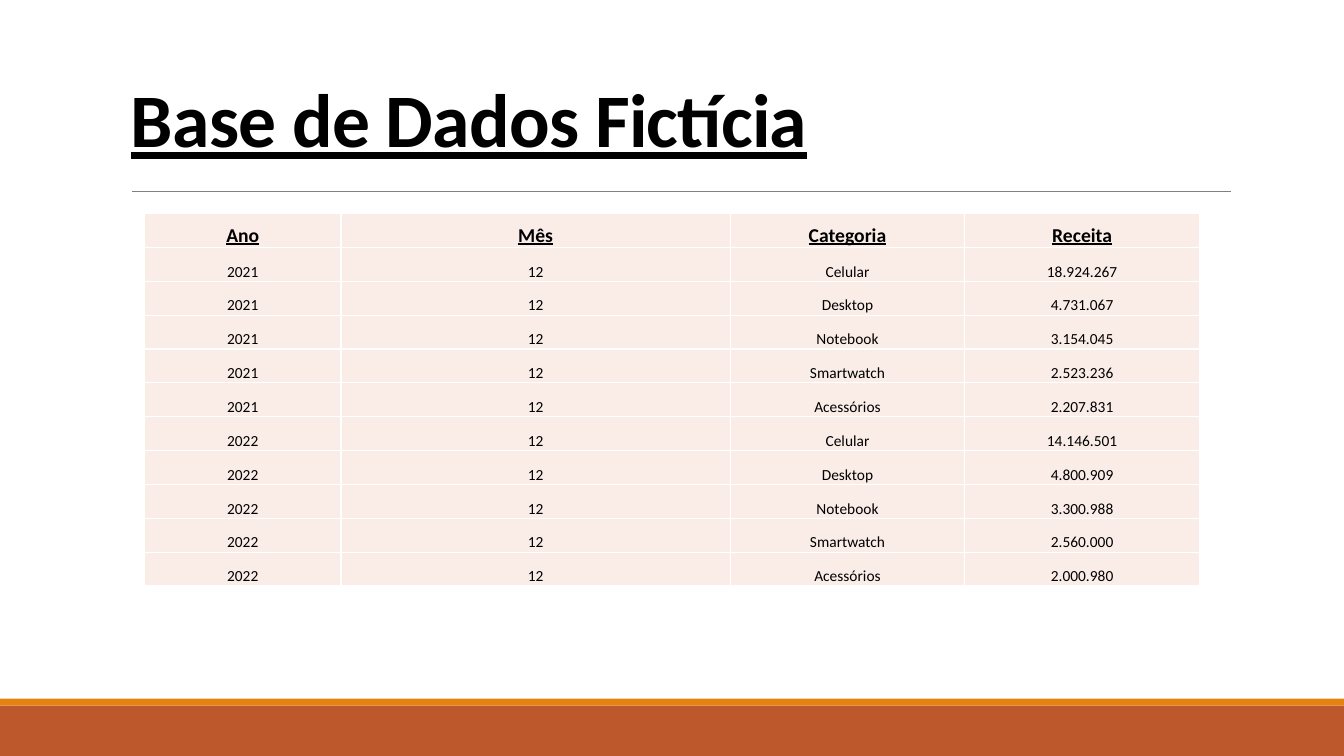
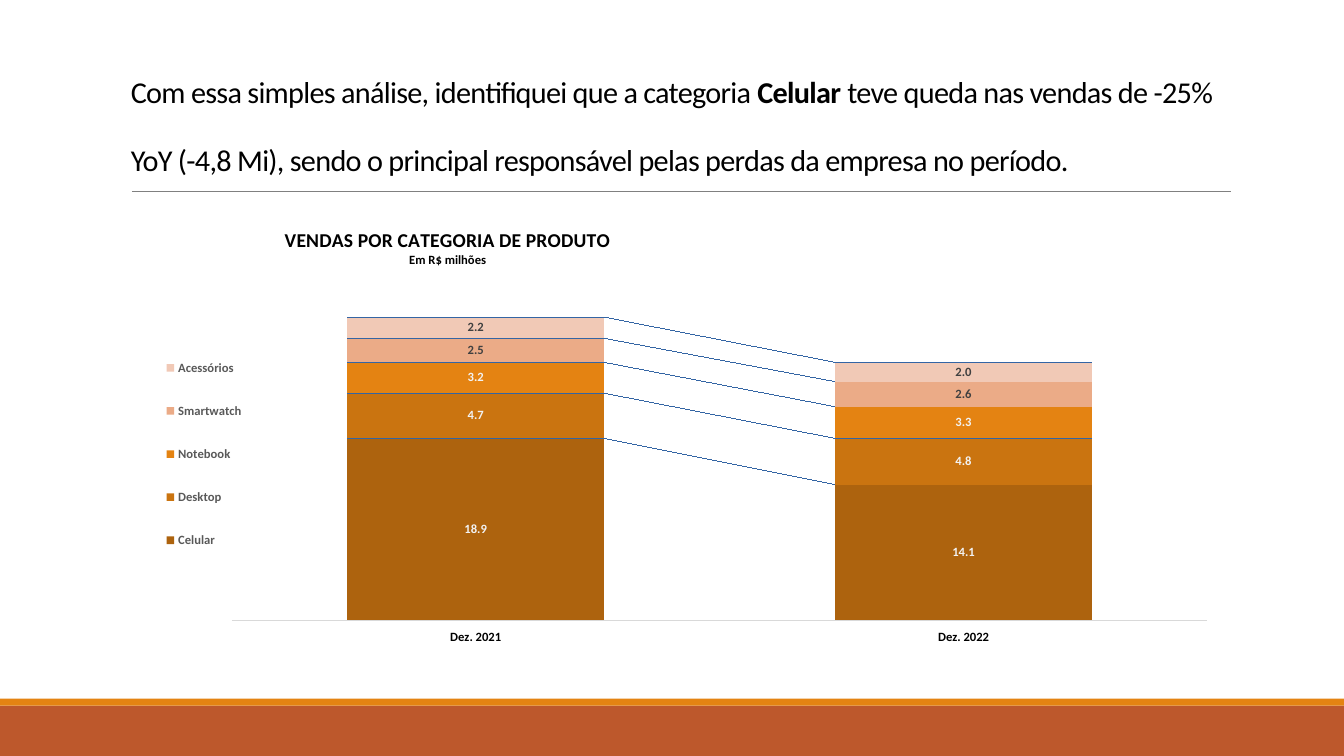
from dataclasses import dataclass
from typing import Optional

from lxml.etree import SubElement
from pptx import Presentation
from pptx.chart.data import CategoryChartData
from pptx.dml.color import RGBColor
from pptx.enum.chart import XL_CHART_TYPE as ChartType
from pptx.enum.chart import XL_LABEL_POSITION as LabelPosition
from pptx.enum.chart import XL_LEGEND_POSITION as LegendPosition
from pptx.enum.chart import XL_TICK_LABEL_POSITION as TickLabels
from pptx.enum.chart import XL_TICK_MARK as TickMark
from pptx.enum.shapes import MSO_CONNECTOR as Connector
from pptx.enum.shapes import MSO_SHAPE as Shape
from pptx.enum.text import MSO_ANCHOR as Anchor
from pptx.enum.text import PP_ALIGN as Align
from pptx.oxml import parse_xml
from pptx.oxml.ns import qn
from pptx.util import Pt

FONT = "Calibri"
COLORS = {
    "black": "000000",
    "white": "FFFFFF",
    "rust": "BD582C",
    "orange": "E48312",
    "rule": "808080",
    "cell": "FAEDE7",
    "axis": "D9D9D9",
    "legend": "595959",
    "light_label": "F2F2F2",
    "dark_label": "404040",
    "brown": "AD630E",
    "amber": "CA7410",
    "salmon": "EBAB87",
    "peach": "F1C9B6",
}
CHART_NAMESPACE = 'xmlns:c="http://schemas.openxmlformats.org/drawingml/2006/chart"'
NUMBER_FORMAT = "#,##0.0"
PAGE_WIDTH, PAGE_HEIGHT = 960, 540
CONTENT_LEFT, CONTENT_WIDTH = 86.4, 792


@dataclass(frozen=True)
class Band:
    top: float
    height: float
    color: str


@dataclass(frozen=True)
class Span:
    text: str
    bold: bool = False
    underline: bool = False


@dataclass(frozen=True)
class Title:
    spans: tuple[Span, ...]
    size: float
    bottom: float
    spacing: float


@dataclass(frozen=True)
class Series:
    name: str
    values: tuple[float, float]
    color: str
    label_color: str


BANDS = (Band(504, 36, "rust"), Band(499, 5, "orange"))

DATA_TITLE = Title((Span("Base de Dados Fictícia", True, True),), 54, 120.2, 0.85)
FINDING_TITLE = Title(
    (
        Span("Com essa simples análise, identifiquei que a categoria "),
        Span("Celular", True),
        Span(
            " teve queda nas vendas de -25% YoY (-4,8 Mi), sendo o principal "
            "responsável pelas perdas da empresa no período."
        ),
    ),
    21.6,
    130.7,
    Pt(48.6),
)

HEADERS = ("Ano", "Mês", "Categoria", "Receita")
COLUMN_WIDTHS = (140.4, 278, 167.6, 167.6)
ROW_HEIGHT = 24.2
REVENUES = {
    "2021": ("18.924.267", "4.731.067", "3.154.045", "2.523.236", "2.207.831"),
    "2022": ("14.146.501", "4.800.909", "3.300.988", "2.560.000", "2.000.980"),
}
SERIES = (
    Series("Celular", (18.9, 14.1), "brown", "light_label"),
    Series("Desktop", (4.7, 4.8), "amber", "light_label"),
    Series("Notebook", (3.2, 3.3), "orange", "light_label"),
    Series("Smartwatch", (2.5, 2.6), "salmon", "dark_label"),
    Series("Acessórios", (2.2, 2.0), "peach", "dark_label"),
)


def color(name: str) -> RGBColor:
    return RGBColor.from_string(COLORS[name])


def style_font(font, size: float, name: str, bold: Optional[bool] = None) -> None:
    font.name = FONT
    font.size = Pt(size)
    font.color.rgb = color(name)
    font.bold = bold


def add_band(page, band: Band) -> None:
    box = page.shapes.add_shape(
        Shape.RECTANGLE, 0, Pt(band.top), Pt(PAGE_WIDTH), Pt(band.height)
    )
    box.shadow.inherit = False
    box.fill.solid()
    box.fill.fore_color.rgb = color(band.color)
    box.line.fill.background()


def add_title(page, title: Title) -> None:
    top = 22.3
    box = page.shapes.add_textbox(
        Pt(CONTENT_LEFT), Pt(top), Pt(CONTENT_WIDTH), Pt(title.bottom - top)
    )
    frame = box.text_frame
    frame.word_wrap = True
    frame.vertical_anchor = Anchor.BOTTOM
    para = frame.paragraphs[0]
    para.line_spacing = title.spacing
    style_font(para.font, title.size, "black")
    for span in title.spans:
        run = para.add_run()
        run.text = span.text
        run.font.bold = span.bold
        run.font.underline = span.underline
        run.font._element.set("spc", "-50")


def add_page(deck, title: Title):
    page = deck.slides.add_slide(deck.slide_layouts[6])
    for band in BANDS:
        add_band(page, band)
    rule = page.shapes.add_connector(
        Connector.STRAIGHT, Pt(94.3), Pt(136.8), Pt(879), Pt(136.8)
    )
    rule.line.color.rgb = color("rule")
    rule.line.width = Pt(0.5)
    SubElement(rule._element.spPr, qn("a:effectLst"))
    add_title(page, title)
    return page


def fill_cell(cell, text: str, header: bool) -> None:
    cell.margin_left = cell.margin_right = cell.margin_top = Pt(0.7)
    cell.margin_bottom = 0
    cell.vertical_anchor = Anchor.BOTTOM
    para = cell.text_frame.paragraphs[0]
    para.text = text
    para.alignment = Align.CENTER
    style_font(para.font, 14 if header else 11, "black", header)
    para.font.underline = header
    properties = cell._tc.get_or_add_tcPr()
    for side in ("lnL", "lnR", "lnT", "lnB"):
        border = SubElement(properties, qn(f"a:{side}"), w=str(Pt(1)))
        fill = SubElement(border, qn("a:solidFill"))
        SubElement(fill, qn("a:srgbClr"), val=COLORS["white"])
    cell.fill.solid()
    cell.fill.fore_color.rgb = color("cell")


def add_revenue_table(page) -> None:
    rows = [HEADERS] + [
        (year, "12", series.name, revenue)
        for year, revenues in REVENUES.items()
        for series, revenue in zip(SERIES, revenues)
    ]
    table = page.shapes.add_table(
        len(rows), len(HEADERS), Pt(103.2), Pt(152.6),
        Pt(sum(COLUMN_WIDTHS)), Pt(ROW_HEIGHT * len(rows)),
    ).table
    table.first_row = table.horz_banding = False
    for column, width in zip(table.columns, COLUMN_WIDTHS):
        column.width = Pt(width)
    for row_index, values in enumerate(rows):
        table.rows[row_index].height = Pt(ROW_HEIGHT)
        for column_index, text in enumerate(values):
            fill_cell(table.cell(row_index, column_index), text, row_index == 0)


def place(element, after: Optional[str], **fractions: float) -> None:
    for old in element.findall(qn("c:layout")):
        element.remove(old)
    target = '<c:layoutTarget val="inner"/>' if after is None else ""
    modes = '<c:xMode val="edge"/><c:yMode val="edge"/>'
    sizes = "".join(f'<c:{key} val="{value}"/>' for key, value in fractions.items())
    layout = parse_xml(
        f"<c:layout {CHART_NAMESPACE}><c:manualLayout>{target}{modes}{sizes}"
        "</c:manualLayout></c:layout>"
    )
    if after is None:
        element.insert(0, layout)
    else:
        element.find(qn(after)).addnext(layout)


def add_chart_title(chart) -> None:
    frame = chart.chart_title.text_frame
    frame.text = "VENDAS POR CATEGORIA DE PRODUTO\nEm R$ milhões"
    for para, size in zip(frame.paragraphs, (14, 9)):
        para.alignment = Align.CENTER
        style_font(para.font, size, "black", True)
        for run in para.runs:
            style_font(run.font, size, "black", True)
    chart.chart_title.include_in_layout = False
    place(chart.chart_title._element, "c:tx", x=0.145, y=0.045)


def style_axes(chart) -> None:
    months = chart.category_axis
    months.major_tick_mark = months.minor_tick_mark = TickMark.NONE
    months.tick_label_position = TickLabels.LOW
    months.format.line.color.rgb = color("axis")
    months.format.line.width = Pt(0.75)
    style_font(months.tick_labels.font, 9, "black", True)
    amounts = chart.value_axis
    amounts.minimum_scale, amounts.maximum_scale = 0, 35
    amounts.has_major_gridlines = False
    amounts.visible = False
    amounts.tick_labels.number_format = NUMBER_FORMAT
    amounts.tick_labels.number_format_is_linked = False


def style_series(bars, series: Series) -> None:
    bars.format.fill.solid()
    bars.format.fill.fore_color.rgb = color(series.color)
    labels = bars.data_labels
    labels.show_value = True
    labels.position = LabelPosition.CENTER
    labels.number_format = NUMBER_FORMAT
    labels.number_format_is_linked = False
    style_font(labels.font, 9, series.label_color, True)


def add_sales_chart(page) -> None:
    data = CategoryChartData(number_format=NUMBER_FORMAT)
    data.categories = ("Dez. 2021", "Dez. 2022")
    for series in SERIES:
        data.add_series(series.name, series.values)
    chart = page.shapes.add_chart(
        ChartType.COLUMN_STACKED, Pt(CONTENT_LEFT), Pt(145.4),
        Pt(CONTENT_WIDTH), Pt(316.8), data,
    ).chart
    style_font(chart.font, 10, "black", True)
    add_chart_title(chart)
    style_axes(chart)
    plot = chart.plots[0]
    plot.vary_by_categories = False
    plot.gap_width, plot.overlap = 90, 100
    series_lines = parse_xml(f"<c:serLines {CHART_NAMESPACE}/>")
    plot._element.find(qn("c:overlap")).addnext(series_lines)
    for bars, series in zip(plot.series, SERIES):
        style_series(bars, series)
    chart.has_legend = True
    chart.legend.position = LegendPosition.LEFT
    chart.legend.include_in_layout = False
    style_font(chart.legend.font, 9, "legend", True)
    place(chart.legend._element, "c:legendPos", x=0.03, y=0.29, w=0.09, h=0.55)
    plot_area = chart._chartSpace.chart.plotArea
    place(plot_area, None, x=0.1, y=0.18, w=0.88, h=0.76)


def main() -> None:
    deck = Presentation()
    deck.slide_width, deck.slide_height = Pt(PAGE_WIDTH), Pt(PAGE_HEIGHT)
    add_revenue_table(add_page(deck, DATA_TITLE))
    add_sales_chart(add_page(deck, FINDING_TITLE))
    deck.save("out.pptx")


if __name__ == "__main__":
    main()
